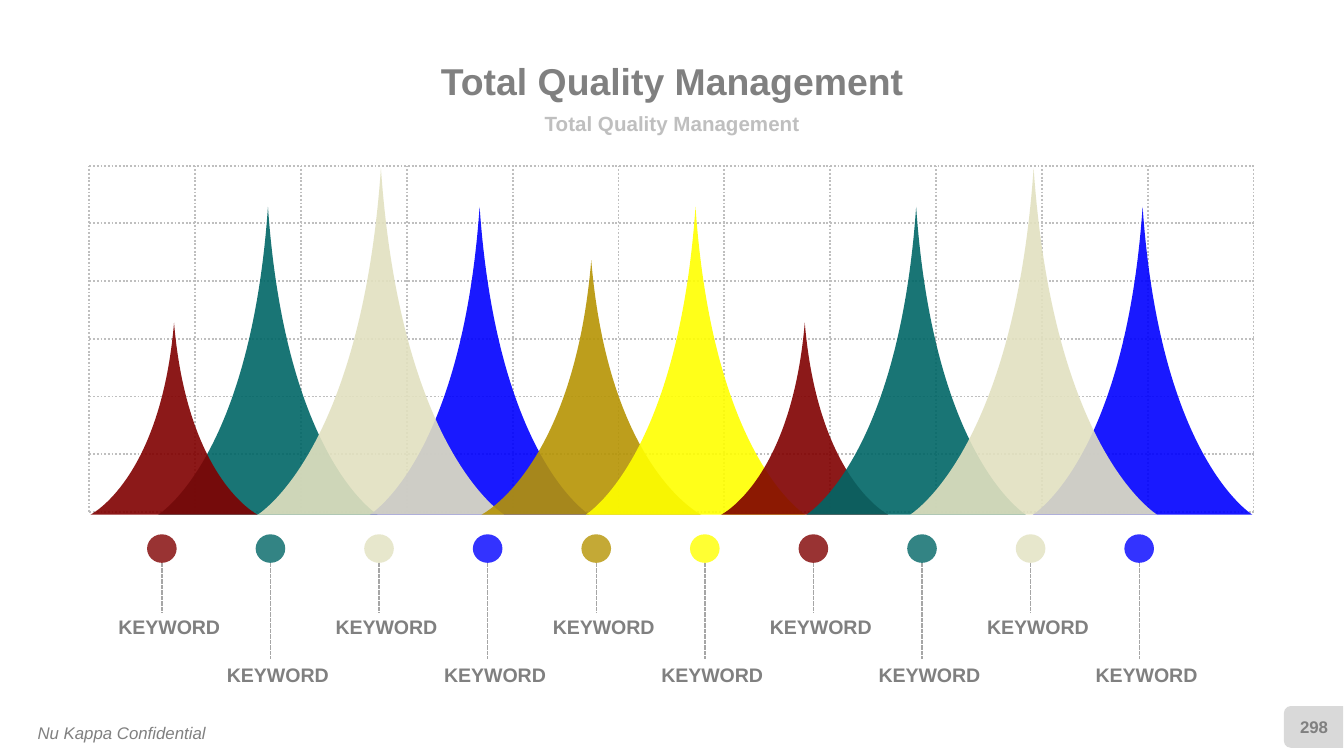
from dataclasses import dataclass

from lxml import etree
from pptx import Presentation
from pptx.dml.color import RGBColor
from pptx.enum.dml import MSO_LINE
from pptx.enum.shapes import MSO_CONNECTOR, MSO_SHAPE
from pptx.enum.text import MSO_ANCHOR, PP_ALIGN
from pptx.oxml.ns import qn
from pptx.shapes.autoshape import Shape
from pptx.slide import Slide
from pptx.util import Cm, Pt

STRAIGHT = MSO_CONNECTOR.STRAIGHT
ELLIPSE = MSO_SHAPE.OVAL
TAB = MSO_SHAPE.ROUND_2_SAME_RECTANGLE
DOTTED = MSO_LINE.ROUND_DOT
DASHED = MSO_LINE.SQUARE_DOT
MIDDLE, TOP = MSO_ANCHOR.MIDDLE, MSO_ANCHOR.TOP
CENTER, LEFT = PP_ALIGN.CENTER, PP_ALIGN.LEFT


@dataclass(frozen=True)
class Theme:
    font: str = "Arial"
    text: str = "808080"
    pale: str = "BFBFBF"
    stem: str = "A6A6A6"
    tab: str = "D9D9D9"
    maroon: str = "800000"
    teal: str = "006666"
    cream: str = "E2E1C0"
    blue: str = "0000FF"
    gold: str = "B69404"
    yellow: str = "FFFF00"
    title_size: float = 20
    subtitle_size: float = 11
    keyword_size: float = 10.5
    small_size: float = 9


THEME = Theme()


@dataclass(frozen=True)
class Box:
    left: float
    top: float
    width: float
    height: float

    def lengths(self) -> tuple[Cm, Cm, Cm, Cm]:
        return Cm(self.left), Cm(self.top), Cm(self.width), Cm(self.height)


@dataclass(frozen=True)
class TextStyle:
    size: float
    color: str = THEME.text
    bold: bool = True
    italic: bool = False
    align: PP_ALIGN = CENTER
    anchor: MSO_ANCHOR = MIDDLE
    inset: bool = False


@dataclass(frozen=True)
class Peak:
    left: float
    top: float
    width: float
    color: str


BASELINE = 9.73
PEAKS = (
    Peak(2.99, 3.91, 4.15, THEME.teal),
    Peak(6.99, 3.91, 4.15, THEME.blue),
    Peak(1.71, 6.10, 3.16, THEME.maroon),
    Peak(4.87, 3.18, 4.66, THEME.cream),
    Peak(9.10, 4.92, 4.15, THEME.gold),
    Peak(11.07, 3.91, 4.15, THEME.yellow),
    Peak(13.63, 6.10, 3.16, THEME.maroon),
    Peak(15.24, 3.91, 4.15, THEME.teal),
    Peak(19.52, 3.91, 4.15, THEME.blue),
    Peak(17.20, 3.18, 4.67, THEME.cream),
)
KEYWORD_COLORS = (
    THEME.maroon, THEME.teal, THEME.cream, THEME.blue, THEME.gold,
    THEME.yellow, THEME.maroon, THEME.teal, THEME.cream, THEME.blue,
)
GRID_LEFT, GRID_RIGHT, COLUMNS = 1.69, 23.69, 11
GRID_TOP, GRID_BOTTOM, ROWS = 3.13, 9.68, 6
FIRST_KEYWORD, LAST_KEYWORD = 3.06, 21.53
STEM_ENDS = (11.58, 12.45)
LABEL_TOPS = (11.62, 12.53)


def style_text(shape: Shape, text: str, style: TextStyle) -> None:
    frame = shape.text_frame
    frame.text = text
    frame.word_wrap = False
    frame.vertical_anchor = style.anchor
    if not style.inset:
        frame.margin_left = frame.margin_right = 0
        frame.margin_top = frame.margin_bottom = 0
    paragraph = frame.paragraphs[0]
    paragraph.alignment = style.align
    for run in paragraph.runs:
        run.font.name = THEME.font
        run.font.size = Pt(style.size)
        run.font.bold = style.bold
        run.font.italic = style.italic
        run.font.color.rgb = RGBColor.from_string(style.color)


def add_text(slide: Slide, box: Box, text: str, style: TextStyle) -> None:
    style_text(slide.shapes.add_textbox(*box.lengths()), text, style)


def paint(shape: Shape, color: str, opacity: int = 100) -> None:
    shape.shadow.inherit = False
    shape.line.fill.background()
    shape.fill.solid()
    shape.fill.fore_color.rgb = RGBColor.from_string(color)
    if opacity < 100:
        tint = shape._element.spPr.find(f"{qn('a:solidFill')}/{qn('a:srgbClr')}")
        etree.SubElement(tint, qn("a:alpha")).set("val", str(opacity * 1000))


def add_line(slide: Slide, start: tuple[float, float], end: tuple[float, float],
             color: str, width: float, dash: MSO_LINE) -> None:
    line = slide.shapes.add_connector(
        STRAIGHT, *(Cm(value) for value in (*start, *end)))
    line.line.color.rgb = RGBColor.from_string(color)
    line.line.width = Pt(width)
    line.line.dash_style = dash
    etree.SubElement(line._element.spPr, qn("a:effectLst"))


def add_grid(slide: Slide) -> None:
    for column in range(COLUMNS + 1):
        x = GRID_LEFT + column * (GRID_RIGHT - GRID_LEFT) / COLUMNS
        add_line(slide, (x, GRID_TOP), (x, GRID_BOTTOM), THEME.pale, 1, DOTTED)
    for row in range(ROWS + 1):
        y = GRID_TOP + row * (GRID_BOTTOM - GRID_TOP) / ROWS
        add_line(slide, (GRID_LEFT, y), (GRID_RIGHT, y), THEME.pale, 1, DOTTED)


def bend_slopes(shape: Shape) -> None:
    path = shape._element.spPr.find(f".//{qn('a:path')}")
    width, height = int(path.get("w")), int(path.get("h"))
    right, apex, left = (1, 1), (0.5, 0), (0, 1)
    slopes = ((right, (0.58, 0.82), apex), ((0.42, 0.82), left, left))
    for straight, points in zip(path.findall(qn("a:lnTo")), slopes):
        curve = etree.Element(qn("a:cubicBezTo"))
        for x, y in points:
            point = etree.SubElement(curve, qn("a:pt"))
            point.set("x", str(round(x * width)))
            point.set("y", str(round(y * height)))
        path.replace(straight, curve)


def add_peak(slide: Slide, peak: Peak) -> None:
    left, right = Cm(peak.left), Cm(peak.left + peak.width)
    apex, base = Cm(peak.left + peak.width / 2), Cm(BASELINE)
    builder = slide.shapes.build_freeform(right, base)
    builder.add_line_segments([(apex, Cm(peak.top)), (left, base), (right, base)], close=True)
    shape = builder.convert_to_shape()
    bend_slopes(shape)
    paint(shape, peak.color, 90)


def add_keyword(slide: Slide, index: int, color: str) -> None:
    step = (LAST_KEYWORD - FIRST_KEYWORD) / (len(KEYWORD_COLORS) - 1)
    center = FIRST_KEYWORD + index * step
    level = index % 2
    dot = slide.shapes.add_shape(ELLIPSE, *Box(center - 0.28, 10.1, 0.56, 0.54).lengths())
    paint(dot, color, 80)
    add_line(slide, (center, 10.64), (center, STEM_ENDS[level]), THEME.stem, 0.75, DASHED)
    add_text(slide, Box(center - 0.84, LABEL_TOPS[level], 1.96, 0.46), "KEYWORD",
             TextStyle(THEME.keyword_size, anchor=TOP))


def main() -> None:
    deck = Presentation()
    deck.slide_width, deck.slide_height = Cm(25.4), Cm(14.29)
    slide = deck.slides.add_slide(deck.slide_layouts[5])

    add_text(slide, Box(0.46, 13.54, 4.7, 0.64), "Nu Kappa Confidential",
             TextStyle(THEME.small_size, bold=False, italic=True, align=LEFT,
                       anchor=TOP, inset=True))
    page_tab = slide.shapes.add_shape(TAB, *Box(24.43, 13.18, 0.79, 1.12).lengths())
    page_tab.rotation = 270
    paint(page_tab, THEME.tab)
    add_grid(slide)

    title = slide.shapes.title
    title.left, title.top, title.width, title.height = Box(4.87, 1.08, 15.67, 0.99).lengths()
    style_text(title, "Total Quality Management", TextStyle(THEME.title_size))
    title.text_frame.paragraphs[0].line_spacing = 0.9
    add_text(slide, Box(6.99, 2.06, 11.43, 0.56), "Total Quality Management",
             TextStyle(THEME.subtitle_size, THEME.pale))
    add_text(slide, Box(24.3, 13.36, 1.07, 0.76), "298", TextStyle(THEME.small_size))

    for peak in PEAKS:
        add_peak(slide, peak)
    for index, color in enumerate(KEYWORD_COLORS):
        add_keyword(slide, index, color)
    deck.save("out.pptx")


if __name__ == "__main__":
    main()
